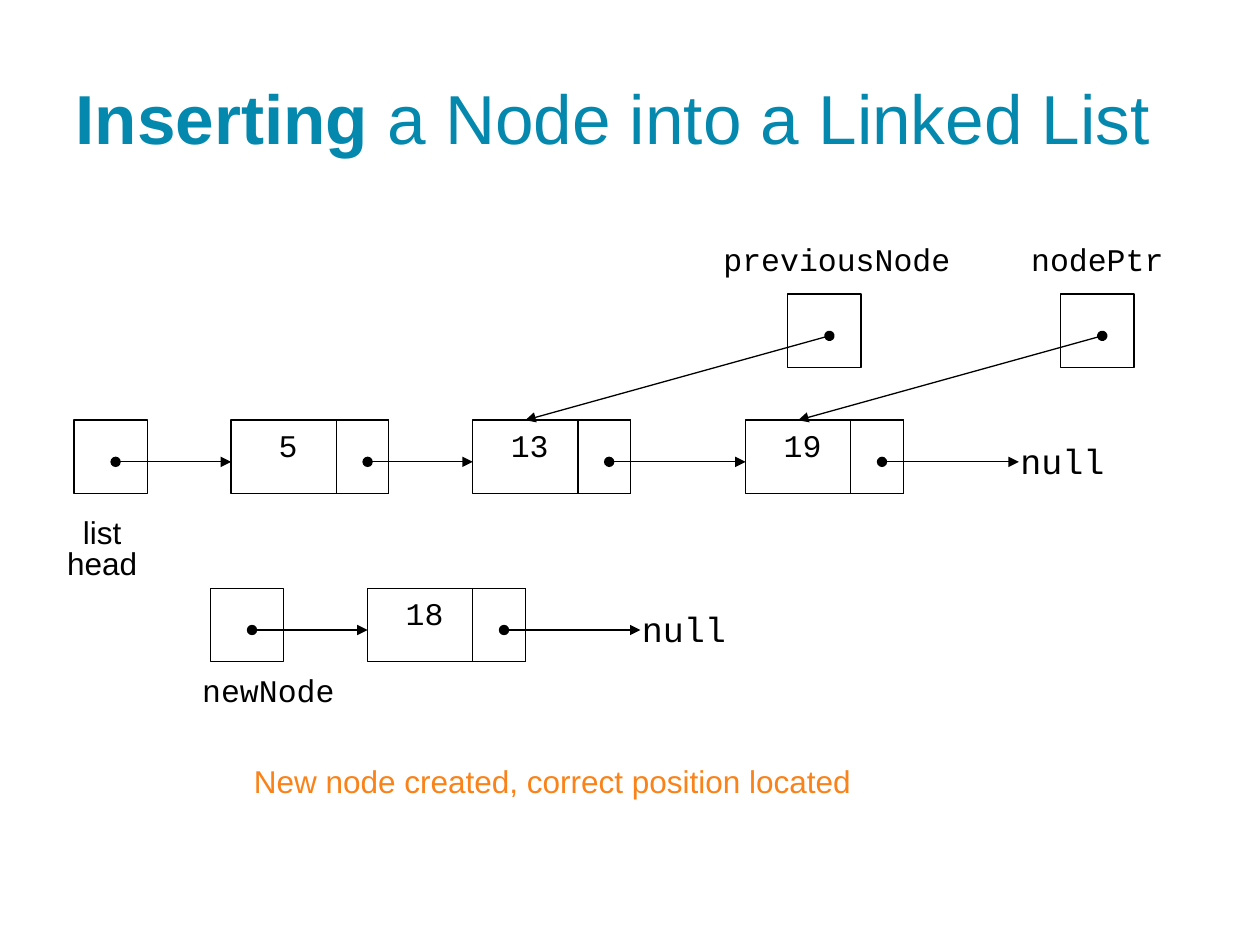
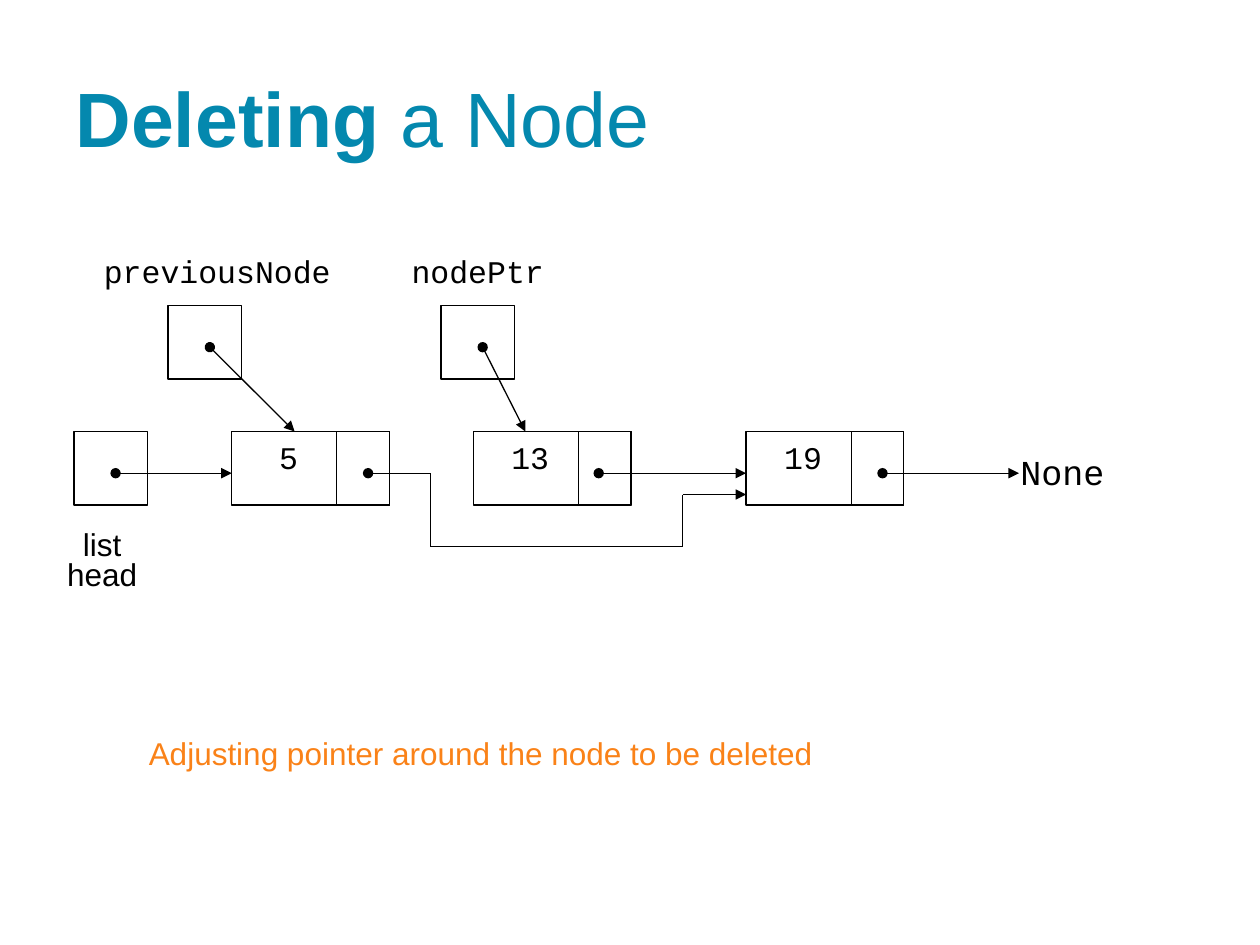
from dataclasses import dataclass
from itertools import pairwise

from lxml import etree
from pptx import Presentation
from pptx.dml.color import RGBColor
from pptx.enum import shapes, text
from pptx.oxml import ns
from pptx.util import Cm, Pt

# Shared style
TEAL = RGBColor(0x04, 0x88, 0xAE)
ORANGE = RGBColor(0xFA, 0x82, 0x18)
BLACK = RGBColor(0, 0, 0)
SANS, MONO = "Arial", "Courier New"

# Shared measures, in centimetres
CELL = 1.48          # side of a pointer box, height of a node
NODE_WIDTH = 3.18
LINK_WIDTH = 1.06    # right-hand cell of a node
DOT = 0.84           # start of an arrow inside a box
LINK_DOT = 2.75      # start of an arrow inside a node
HEAD_LEFT = 1.49
POINTER_RISE = 2.54  # from the list row up to the pointer row


@dataclass(frozen=True)
class Node:
    left: float
    value: str
    next_left: float | None
    link_dot: float = LINK_DOT


@dataclass(frozen=True)
class Pointer:
    left: float
    name: str
    label_shift: float
    target: float


@dataclass(frozen=True)
class Caption:
    words: str
    left: float
    top: float
    width: float
    spacing: float


@dataclass(frozen=True)
class ListSlide:
    bold_title: str
    plain_title: str
    title_size: float
    row: float
    nodes: tuple[Node, ...]
    end_word: str
    pointers: tuple[Pointer, ...]
    caption: Caption


END_LEFT = 20.54
INSERTING = ListSlide(
    "Inserting", " a Node into a Linked List", 39.6, 8.47,
    (Node(4.66, "5", 9.53), Node(9.53, "13", 15.03), Node(15.03, "19", END_LEFT)),
    "null",
    (Pointer(21.38, "nodePtr", 0.74, 16.09), Pointer(15.88, "previousNode", 0.99, 10.59)),
    Caption("New node created, correct position located", 4.87, 15.24, 12.65, 1.0),
)
DELETING = ListSlide(
    "Deleting", " a Node", 44, 8.7,
    (Node(4.67, "5", None), Node(9.54, "13", 15.04, 2.53), Node(15.04, "19", END_LEFT)),
    "None",
    (Pointer(8.89, "nodePtr", 0.74, 10.59), Pointer(3.39, "previousNode", 0.99, 5.94)),
    Caption("Adjusting pointer around the node to be deleted", 2.75, 14.81, 14.02, 0.8),
)


def add_text(page, words: str, left: float, top: float, width: float, font: str = MONO,
             size: float = 18, color: RGBColor = BLACK, spacing: float = 1.0,
             align=text.PP_ALIGN.CENTER) -> None:
    box = page.shapes.add_textbox(Cm(left), Cm(top), Cm(width), Cm(1.1))
    frame = box.text_frame
    frame.word_wrap = False
    frame.auto_size = text.MSO_AUTO_SIZE.SHAPE_TO_FIT_TEXT
    frame.text = words
    for para in frame.paragraphs:
        para.alignment = align
        para.line_spacing = spacing
        para.font.name, para.font.size = font, Pt(size)
        para.font.color.rgb = color


def add_label(page, words: str, center: float, top: float, **style) -> None:
    """Centre a label in a box wide enough for its longest line."""
    width = 0.55 + 0.5 * max(map(len, words.splitlines()))
    add_text(page, words, center - width / 2, top, width, **style)


def add_cell(page, left: float, top: float, width: float = CELL) -> None:
    cell = page.shapes.add_shape(shapes.MSO_SHAPE.RECTANGLE,
                                 Cm(left), Cm(top), Cm(width), Cm(CELL))
    cell.shadow.inherit = False
    cell.fill.background()
    cell.line.color.rgb = BLACK
    cell.line.width = Pt(0.75)


def add_line(page, start: tuple[float, float], end: tuple[float, float],
             dot: bool = True, arrow: bool = True) -> None:
    line = page.shapes.add_connector(shapes.MSO_CONNECTOR.STRAIGHT,
                                     *map(Cm, start), *map(Cm, end))
    line.line.color.rgb = BLACK
    line.line.width = Pt(0.75)
    properties = line.line._get_or_add_ln()
    if dot:
        etree.SubElement(properties, ns.qn("a:headEnd"), type="oval")
    if arrow:
        etree.SubElement(properties, ns.qn("a:tailEnd"), type="triangle")
    etree.SubElement(line._element.spPr, ns.qn("a:effectLst"))


def add_path(page, points: list[tuple[float, float]]) -> None:
    """Join the points, with a dot at the start and an arrow at the end."""
    legs = list(pairwise(points))
    for number, (start, end) in enumerate(legs, 1):
        add_line(page, start, end, dot=number == 1, arrow=number == len(legs))


def add_node(page, node: Node, row: float) -> None:
    add_cell(page, node.left, row, NODE_WIDTH)
    add_cell(page, node.left + NODE_WIDTH - LINK_WIDTH, row, LINK_WIDTH)
    add_label(page, node.value, node.left + 1.15, row)
    if node.next_left is not None:
        add_line(page, (node.left + node.link_dot, row + DOT), (node.next_left, row + DOT))


def add_pointer_box(page, left: float, top: float, target: tuple[float, float]) -> None:
    add_cell(page, left, top)
    add_line(page, (left + DOT, top + DOT), target)


def add_end_word(page, words: str, left: float, row: float) -> None:
    add_label(page, words, left + 0.88, row + 0.09, size=20, spacing=1.2)


def add_list_slide(deck, content: ListSlide):
    page = deck.slides.add_slide(deck.slide_layouts[5])
    row = content.row

    # Title
    title = page.shapes.title
    title.left, title.top, title.width, title.height = map(Cm, (1.27, 0.76, 22.86, 3.18))
    title.text_frame.vertical_anchor = text.MSO_ANCHOR.MIDDLE
    para = title.text_frame.paragraphs[0]
    para.alignment = text.PP_ALIGN.LEFT
    para.font.name, para.font.size = SANS, Pt(content.title_size)
    para.font.color.rgb = TEAL
    for words, bold in ((content.bold_title, True), (content.plain_title, False)):
        span = para.add_run()
        span.text, span.font.bold = words, bold

    # List head and nodes
    add_pointer_box(page, HEAD_LEFT, row, (content.nodes[0].left, row + DOT))
    add_label(page, "list\nhead", 2.06, row + 1.9, font=SANS, spacing=0.8)
    for node in content.nodes:
        add_node(page, node, row)
    add_end_word(page, content.end_word, END_LEFT, row)

    # Named pointers above the list
    for pointer in content.pointers:
        add_pointer_box(page, pointer.left, row - POINTER_RISE, (pointer.target, row))
        add_label(page, pointer.name, pointer.left + pointer.label_shift,
                  row - 3.6, spacing=0.8)

    # Caption
    caption = content.caption
    add_text(page, caption.words, caption.left, caption.top, caption.width, font=SANS,
             color=ORANGE, spacing=caption.spacing, align=text.PP_ALIGN.LEFT)
    return page


def main() -> None:
    deck = Presentation()
    deck.slide_width, deck.slide_height = Cm(25.4), Cm(19.05)

    # Inserting: the new node waits below the list
    page = add_list_slide(deck, INSERTING)
    new_row, new_left = 11.86, 4.24
    new_node = Node(7.41, "18", 12.91)
    add_pointer_box(page, new_left, new_row, (new_node.left, new_row + DOT))
    add_label(page, "newNode", new_left + 1.17, new_row + 1.69, spacing=0.8)
    add_node(page, new_node, new_row)
    add_end_word(page, "null", new_node.next_left, new_row)

    # Deleting: the first node's link goes around the second
    page = add_list_slide(deck, DELETING)
    first, _, last = DELETING.nodes
    link, entry, bottom = (DELETING.row + drop for drop in (DOT, 1.27, 2.32))
    down, up = 8.68, 13.76
    add_path(page, [(first.left + LINK_DOT, link), (down, link), (down, bottom),
                    (up, bottom), (up, entry), (last.left, entry)])

    deck.save("out.pptx")


if __name__ == "__main__":
    main()
